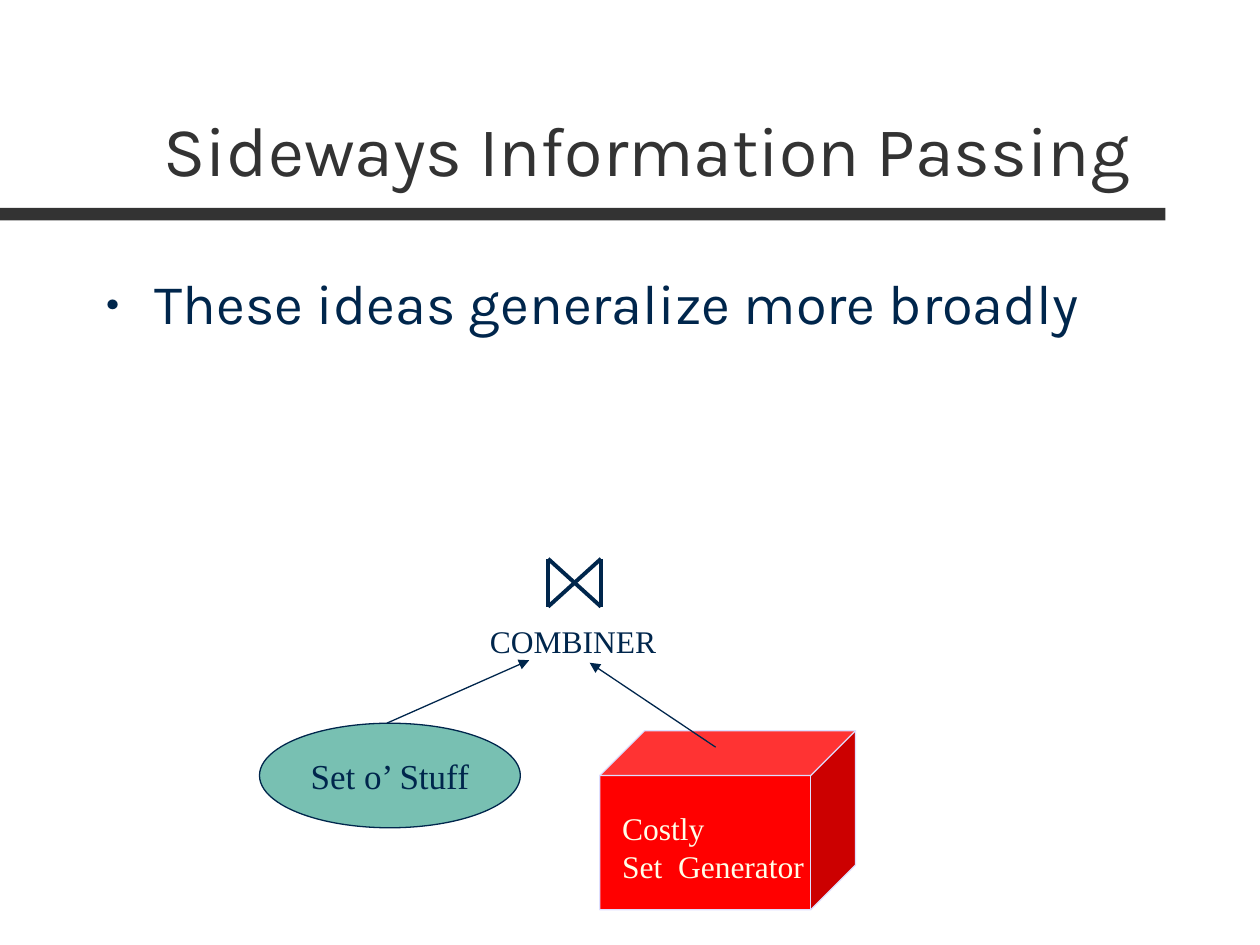
from dataclasses import dataclass
from itertools import product
from typing import NamedTuple

from lxml.etree import SubElement
from pptx import Presentation
from pptx.dml.color import RGBColor
from pptx.enum.shapes import MSO_CONNECTOR, MSO_SHAPE
from pptx.enum.text import MSO_ANCHOR, MSO_AUTO_SIZE, PP_ALIGN
from pptx.oxml.ns import qn
from pptx.shapes.autoshape import Shape
from pptx.shapes.shapetree import GroupShapes, SlideShapes
from pptx.util import Inches, Length, Pt

RECTANGLE, ELLIPSE, CUBE = MSO_SHAPE.RECTANGLE, MSO_SHAPE.OVAL, MSO_SHAPE.CUBE
STRAIGHT = MSO_CONNECTOR.STRAIGHT
TOP, MIDDLE, BOTTOM = MSO_ANCHOR.TOP, MSO_ANCHOR.MIDDLE, MSO_ANCHOR.BOTTOM
LEFT, CENTER = PP_ALIGN.LEFT, PP_ALIGN.CENTER
GROW, FIXED = MSO_AUTO_SIZE.SHAPE_TO_FIT_TEXT, MSO_AUTO_SIZE.NONE
WIDTH, HEIGHT = Inches(10), Inches(7.5)
COLUMNS, ROWS = 100, 75


@dataclass(frozen=True)
class Theme:
    """Colours, fonts, type sizes and line widths of the slide."""
    charcoal: str = "333333"
    navy: str = "00264C"
    teal: str = "78C0B2"
    red: str = "FF0000"
    lavender: str = "DEDFFF"
    cream: str = "FFFFE9"
    sans: str = "Karla"
    serif: str = "Times New Roman"
    title: int = 40
    body: int = 32
    node: int = 20
    label: int = 18
    thin: float = 0.75
    thick: float = 2.25


THEME = Theme()


class Point(NamedTuple):
    """A place in grid columns and rows."""
    column: float
    row: float


class Area(NamedTuple):
    """A rectangle in grid columns and rows."""
    column: float
    row: float
    columns: float
    rows: float


class Solid(NamedTuple):
    """A filled preset shape with an optional outline."""
    preset: MSO_SHAPE
    area: Area
    fill: str
    outline: str | None = None


class Arrow(NamedTuple):
    """A link from an input to the combiner."""
    start: Point
    end: Point


RULE = Solid(RECTANGLE, Area(0, 16.5, 92.5, 1), THEME.charcoal)
STUFF = Solid(ELLIPSE, Area(20.6, 57.4, 20.7, 8.3), THEME.teal, THEME.navy)
GENERATOR = Solid(CUBE, Area(47.6, 58, 20.3, 14.2), THEME.red, THEME.lavender)
ARROWS = (
    Arrow(Point(30.7, 57.4), Point(42, 52.4)),
    Arrow(Point(56.8, 59.3), Point(46.8, 52.6)),
)


def across(columns: float) -> Length:
    """Turn grid columns into a length."""
    return Length(round(WIDTH * columns / COLUMNS))


def down(rows: float) -> Length:
    """Turn grid rows into a length."""
    return Length(round(HEIGHT * rows / ROWS))


def place(area: Area) -> tuple[Length, Length, Length, Length]:
    """Turn a grid area into left, top, width and height."""
    return across(area.column), down(area.row), across(area.columns), down(area.rows)


def add_solid(shapes: SlideShapes, solid: Solid) -> Shape:
    """Draw a filled preset shape."""
    shape = shapes.add_shape(solid.preset, *place(solid.area))
    shape.shadow.inherit = False
    shape.fill.solid()
    shape.fill.fore_color.rgb = RGBColor.from_string(solid.fill)
    if solid.outline:
        shape.line.color.rgb = RGBColor.from_string(solid.outline)
        shape.line.width = Pt(THEME.thin)
    else:
        shape.line.fill.background()
    return shape


def add_line(shapes: SlideShapes | GroupShapes, start: Point, end: Point,
             width: float, arrow: bool = False) -> None:
    """Draw a straight navy line, with an arrowhead at its end if asked."""
    line = shapes.add_connector(STRAIGHT, across(start.column), down(start.row),
                                across(end.column), down(end.row))
    line.line.color.rgb = RGBColor.from_string(THEME.navy)
    line.line.width = Pt(width)
    if arrow:
        SubElement(line.line._get_or_add_ln(), qn("a:tailEnd"), type="triangle")
    SubElement(line._element.spPr, qn("a:effectLst"))


def write(box: Shape, text: str, *, size: int, font: str, color: str,
          align: PP_ALIGN = LEFT, anchor: MSO_ANCHOR = TOP, wrap: bool = False,
          fit: MSO_AUTO_SIZE = FIXED, bullet: bool = False) -> None:
    """Fill a box with one formatted paragraph."""
    frame = box.text_frame
    frame.word_wrap, frame.auto_size, frame.vertical_anchor = wrap, fit, anchor
    para = frame.paragraphs[0]
    para.text = text
    para.alignment = align
    if bullet:
        add_bullet(para._p.get_or_add_pPr(), color, font)
    for span in para.runs:
        span.font.size = Pt(size)
        span.font.name = font
        span.font.color.rgb = RGBColor.from_string(color)


def add_bullet(properties, color: str, font: str) -> None:
    """Give paragraph properties a hanging round bullet."""
    indent = across(3.8)
    properties.set("marL", str(indent))
    properties.set("indent", str(-indent))
    SubElement(SubElement(properties, qn("a:buClr")), qn("a:srgbClr"), val=color)
    SubElement(properties, qn("a:buSzPct"), val="85000")
    SubElement(properties, qn("a:buFont"), typeface=font)
    SubElement(properties, qn("a:buChar"), char="•")


def add_bowtie(shapes: GroupShapes, center: Point, reach: Point) -> None:
    """Draw the join symbol as two triangles that meet at the center."""
    sides = (-1, 1)
    for side in sides:
        column = center.column + side * reach.column
        add_line(shapes, Point(column, center.row - reach.row),
                 Point(column, center.row + reach.row), THEME.thick)
    for side, level in product(sides, sides):
        corner = Point(center.column + side * reach.column,
                       center.row + level * reach.row)
        add_line(shapes, center, corner, THEME.thick)


def main() -> None:
    """Build the slide and save it."""
    deck = Presentation()
    deck.slide_width, deck.slide_height = WIDTH, HEIGHT
    shapes = deck.slides.add_slide(deck.slide_layouts[6]).shapes

    add_solid(shapes, RULE)
    write(shapes.add_textbox(*place(Area(12, 3.1, 85, 12.5))),
          "Sideways Information Passing", size=THEME.title, font=THEME.sans,
          color=THEME.charcoal, anchor=BOTTOM, wrap=True)
    write(shapes.add_textbox(*place(Area(7.5, 20.8, 85, 45.8))),
          "These ideas generalize more broadly", size=THEME.body, font=THEME.sans,
          color=THEME.navy, wrap=True, bullet=True)

    write(add_solid(shapes, STUFF), "Set o’ Stuff", size=THEME.node,
          font=THEME.serif, color=THEME.navy, align=CENTER, anchor=MIDDLE)
    add_solid(shapes, GENERATOR)
    write(shapes.add_textbox(*place(Area(48.4, 63.7, 17, 7))),
          "Costly\vSet  Generator", size=THEME.label, font=THEME.serif,
          color=THEME.cream, fit=GROW)

    combiner = shapes.add_group_shape().shapes
    add_bowtie(combiner, Point(45.6, 46.25), Point(2.1, 1.9))
    write(combiner.add_textbox(*place(Area(37.9, 48.9, 15.2, 4))), "COMBINER",
          size=THEME.label, font=THEME.serif, color=THEME.navy, fit=GROW)
    for arrow in ARROWS:
        add_line(shapes, arrow.start, arrow.end, THEME.thin, arrow=True)

    deck.save("out.pptx")


if __name__ == "__main__":
    main()
